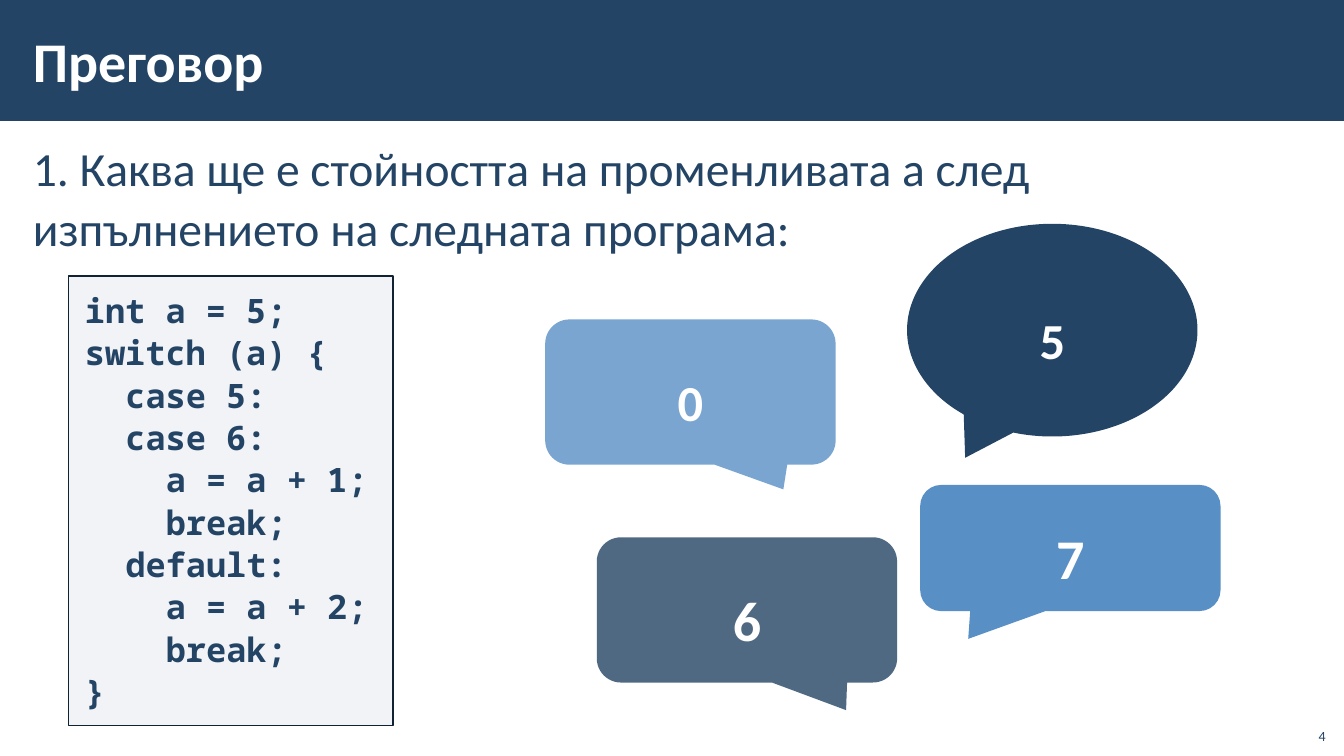
import pptx
import pptx.util
from pptx.dml.color import RGBColor
from pptx.enum.shapes import MSO_SHAPE
from pptx.enum.text import MSO_ANCHOR, PP_ALIGN
from pptx.oxml import parse_xml
from pptx.oxml.ns import nsdecls
from pptx.util import Cm, Pt

COLORS = {
    "navy": "234465",
    "blue": "588FC5",
    "gray": "ADB4C3",
    "border": "112233",
    "white": "FFFFFF",
}
CODE_INDENT = Cm(1.02)
CODE = [
    (0, "int a = 5;"),
    (0, "switch (a) {"),
    (1, "case 5:"),
    (1, "case 6:"),
    (2, "a = a + 1;"),
    (2, "break;"),
    (1, "default:"),
    (2, "a = a + 2;"),
    (2, "break;"),
    (0, "}"),
]
ROUND = MSO_SHAPE.ROUNDED_RECTANGULAR_CALLOUT
OVAL = MSO_SHAPE.OVAL_CALLOUT
ANSWERS = [
    ("5", OVAL, (22.86, 5.64, 7.32, 5.36), (-0.3, 0.6), "navy", 100, 36),
    ("7", ROUND, (23.19, 12.22, 7.57, 3.18), (-0.34, 0.72), "blue", 100, 40),
    ("0", ROUND, (13.74, 8.05, 7.32, 3.66), (0.32, 0.67), "blue", 80, 36),
    ("6", ROUND, (15.04, 13.54, 7.57, 3.66), (0.33, 0.69), "navy", 80, 40),
]


def rgb(name):
    return RGBColor.from_string(COLORS[name])


def add_filled(s, kind, box, color, opacity=100):
    sp = s.shapes.add_shape(kind, *map(Cm, box))
    sp.shadow.inherit = False
    sp.fill.solid()
    sp.fill.fore_color.rgb = rgb(color)
    sp.line.fill.background()
    if opacity < 100:
        clr = sp.fill._xPr.find(".//" + pptx.oxml.ns.qn("a:srgbClr"))
        clr.append(parse_xml(f'<a:alpha {nsdecls("a")} val="{opacity * 1000}"/>'))
    return sp


def set_frame(sp, insets, anchor=MSO_ANCHOR.TOP):
    tf = sp.text_frame
    tf.word_wrap = True
    tf.vertical_anchor = anchor
    tf.margin_left, tf.margin_top, tf.margin_right, tf.margin_bottom = map(Cm, insets)
    return tf


def style(p, size, color, bold=False, font="Calibri", align=PP_ALIGN.LEFT, spacing=1.0):
    p.alignment = align
    p.line_spacing = spacing
    p.font.name = font
    p.font.size = Pt(size)
    p.font.bold = bold
    p.font.color.rgb = rgb(color)


def add_text(s, box, text, insets, anchor=MSO_ANCHOR.TOP, **font):
    tf = set_frame(s.shapes.add_textbox(*map(Cm, box)), insets, anchor)
    p = tf.paragraphs[0]
    p.text = text
    style(p, **font)
    return p


def add_code(s, box, lines):
    sp = add_filled(s, MSO_SHAPE.RECTANGLE, box, "gray", 15)
    sp.line.color.rgb = rgb("border")
    sp.line.width = Pt(1)
    tf = set_frame(sp, (0.41, 0.3, 0.41, 0.3))
    for i, (level, text) in enumerate(lines):
        p = tf.add_paragraph() if i else tf.paragraphs[0]
        p.text = text
        style(p, 24, "navy", True, "Noto Sans Mono", spacing=1.05)
        p._p.get_or_add_pPr().set("marL", str(level * CODE_INDENT))


def add_callout(s, text, kind, box, tip, color, opacity, size):
    sp = add_filled(s, kind, box, color, opacity)
    sp.adjustments[0], sp.adjustments[1] = tip
    tf = set_frame(sp, (0, 0.3, 0, 0), MSO_ANCHOR.MIDDLE)
    p = tf.paragraphs[0]
    p.text = text
    style(p, size, "white", True, align=PP_ALIGN.CENTER, spacing=1.1)


def main():
    prs = pptx.Presentation()
    prs.slide_width, prs.slide_height = Cm(33.87), Cm(19.05)
    s = prs.slides.add_slide(prs.slide_layouts[6])

    add_filled(s, MSO_SHAPE.RECTANGLE, (0, 0, 33.87, 3.05), "navy")
    add_text(s, (0.53, 0.28, 27, 2.46), "Преговор", (0.3, 0.1, 0.3, 0.1),
             MSO_ANCHOR.MIDDLE, size=40, color="white", bold=True)
    question = add_text(
        s, (0.53, 3.33, 32.82, 15.44),
        "1. Каква ще е стойността на променливата a след\vизпълнението на следната програма:",
        (0.3, 0.1, 0.3, 0.1), size=34, color="navy", spacing=1.05)
    question.space_before = question.space_after = Pt(6)
    add_code(s, (1.73, 6.96, 8.18, 11.33), CODE)
    for answer in ANSWERS:
        add_callout(s, *answer)
    add_text(s, (32.64, 18.08, 1.02, 0.81), "4", (0.25, 0.13, 0.25, 0.13),
             MSO_ANCHOR.BOTTOM, size=10, color="navy", align=PP_ALIGN.RIGHT)
    prs.save("out.pptx")


if __name__ == "__main__":
    main()
